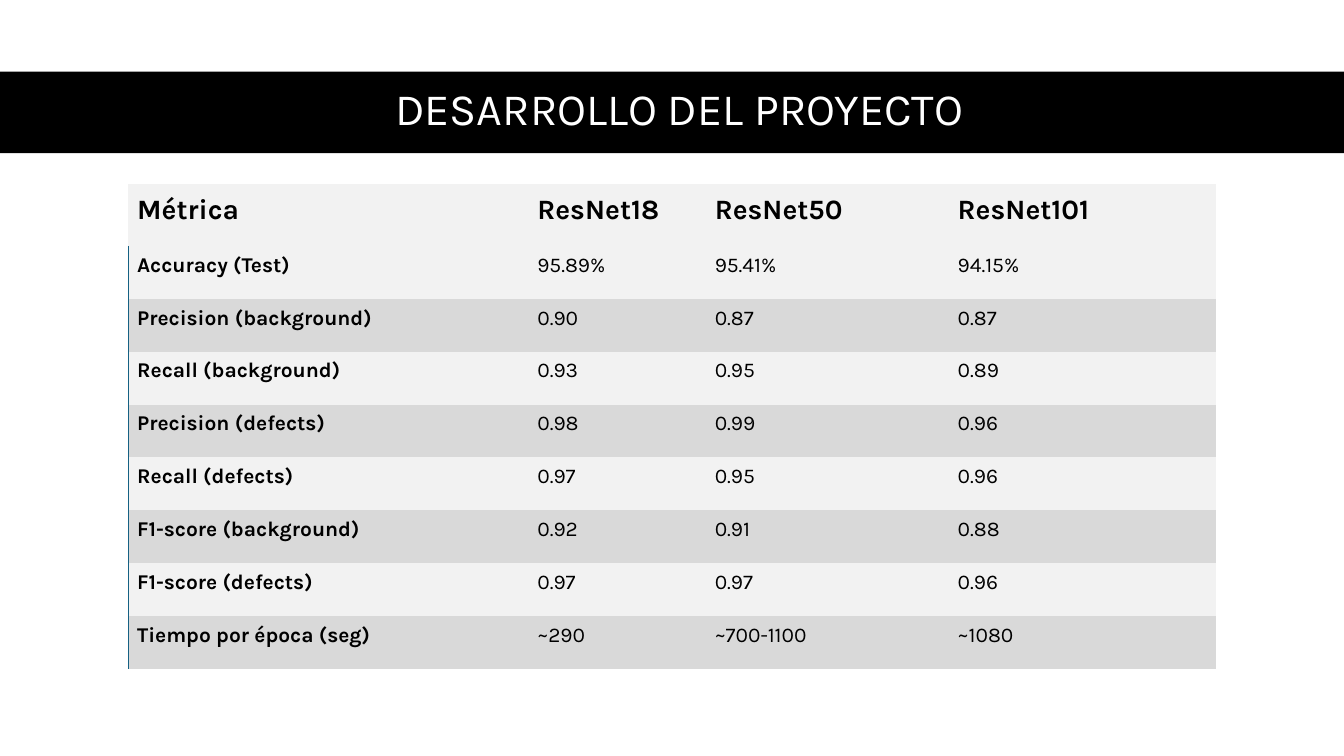
from lxml.etree import SubElement
from pptx import Presentation
from pptx.dml.color import RGBColor
from pptx.enum.shapes import MSO_SHAPE as Shape
from pptx.enum.text import MSO_ANCHOR as Anchor, MSO_AUTO_SIZE as AutoSize, PP_ALIGN as Align
from pptx.oxml import parse_xml
from pptx.oxml.ns import nsdecls, qn
from pptx.util import Inches, Pt

COLORS = {
    "black": "000000",
    "white": "FFFFFF",
    "light": "F2F2F2",
    "gray": "D9D9D9",
    "blue": "156082",
}
TITLE_ONLY_LAYOUT = 5
PLAIN_TABLE_STYLE = "{2D5ABB26-0587-4C30-8999-92F81FD0307C}"

# Column widths and row heights as percentages of the slide
COLUMN_WIDTHS = [29.78, 13.2, 18.08, 19.88]
HEADER_HEIGHT, ROW_HEIGHT = 8.13, 7
METRICS = [
    ["Métrica", "ResNet18", "ResNet50", "ResNet101"],
    ["Accuracy (Test)", "95.89%", "95.41%", "94.15%"],
    ["Precision (background)", "0.90", "0.87", "0.87"],
    ["Recall (background)", "0.93", "0.95", "0.89"],
    ["Precision (defects)", "0.98", "0.99", "0.96"],
    ["Recall (defects)", "0.97", "0.95", "0.96"],
    ["F1-score (background)", "0.92", "0.91", "0.88"],
    ["F1-score (defects)", "0.97", "0.97", "0.96"],
    ["Tiempo por época (seg)", "~290", "~700-1100", "~1080"],
]


def rgb(name):
    return RGBColor.from_string(COLORS[name])


def write_text(frame, text, size=15, color="black", bold=False,
               align=Align.LEFT, line_spacing=1.07, space_after=8):
    paragraph = frame.paragraphs[0]
    paragraph.alignment = align
    paragraph.line_spacing = line_spacing
    paragraph.space_after = Pt(space_after)
    run = paragraph.add_run()
    run.text = text
    run.font.name = "Karla"
    run.font.size = Pt(size)
    run.font.bold = bold
    run.font.color.rgb = rgb(color)


def add_left_border(cell, color):
    properties = cell._tc.get_or_add_tcPr()
    line = parse_xml(f'<a:lnL {nsdecls("a")} w="{Pt(1)}"/>')
    fill = SubElement(line, qn("a:solidFill"))
    SubElement(fill, qn("a:srgbClr"), val=COLORS[color])
    properties.insert(0, line)


class SlideBuilder:
    """Places elements on one slide, with lengths in percent of its size."""

    def __init__(self, presentation):
        self.width = presentation.slide_width
        self.height = presentation.slide_height
        layout = presentation.slide_layouts[TITLE_ONLY_LAYOUT]
        self.slide = presentation.slides.add_slide(layout)
        self.slide.background.fill.solid()
        self.slide.background.fill.fore_color.rgb = rgb("white")

    def across(self, percent):
        return round(self.width * percent / 100)

    def down(self, percent):
        return round(self.height * percent / 100)

    def box(self, left, top, width, height):
        return self.across(left), self.down(top), self.across(width), self.down(height)

    def band(self, *place, color):
        band = self.slide.shapes.add_shape(Shape.RECTANGLE, *self.box(*place))
        band.shadow.inherit = False
        band.fill.solid()
        band.fill.fore_color.rgb = rgb(color)
        band.line.fill.background()
        return band

    def title(self, text, *place, **text_format):
        title = self.slide.shapes.title
        title.left, title.top, title.width, title.height = self.box(*place)
        frame = title.text_frame
        frame.word_wrap = True
        frame.auto_size = AutoSize.NONE
        frame.vertical_anchor = Anchor.MIDDLE
        write_text(frame, text, **text_format)
        return title

    def table(self, rows, left, top, widths, heights):
        place = self.box(left, top, sum(widths), sum(heights))
        table = self.slide.shapes.add_table(len(rows), len(widths), *place).table
        table._tbl.tblPr.find(qn("a:tableStyleId")).text = PLAIN_TABLE_STYLE
        table.first_row = table.horz_banding = False
        for column, width in zip(table.columns, widths):
            column.width = self.across(width)
        for row, height in zip(table.rows, heights):
            row.height = self.down(height)
        for row_index, values in enumerate(rows):
            for column_index, text in enumerate(values):
                self.cell(table.cell(row_index, column_index), text, row_index, column_index)

    def cell(self, cell, text, row_index, column_index):
        is_header, is_label = row_index == 0, column_index == 0
        is_gray = row_index > 0 and row_index % 2 == 0
        cell.margin_left, cell.margin_top = Inches(0.09), Inches(0.03)
        cell.margin_right, cell.margin_bottom = Inches(0.01), Inches(0.19)
        cell.vertical_anchor = Anchor.BOTTOM if is_header else Anchor.MIDDLE
        cell.fill.solid()
        cell.fill.fore_color.rgb = rgb("gray" if is_gray else "light")
        if is_label and not is_header:
            add_left_border(cell, "blue")
        write_text(cell.text_frame, text, size=20 if is_header else 15,
                   bold=is_header or is_label)


def main():
    presentation = Presentation()
    presentation.slide_width, presentation.slide_height = Inches(13.33), Inches(7.5)
    builder = SlideBuilder(presentation)
    band = builder.band(0, 9.47, 100, 10.8, color="black")
    title = builder.title("DESARROLLO DEL PROYECTO", 4.58, 9.33, 91.97, 10.8, size=32,
                          color="white", align=Align.CENTER, line_spacing=0.9, space_after=0)
    title.element.addprevious(band.element)  # the band lies behind the title
    heights = [HEADER_HEIGHT] + [ROW_HEIGHT] * (len(METRICS) - 1)
    builder.table(METRICS, 9.53, 24.4, COLUMN_WIDTHS, heights)
    presentation.save("out.pptx")


if __name__ == "__main__":
    main()
